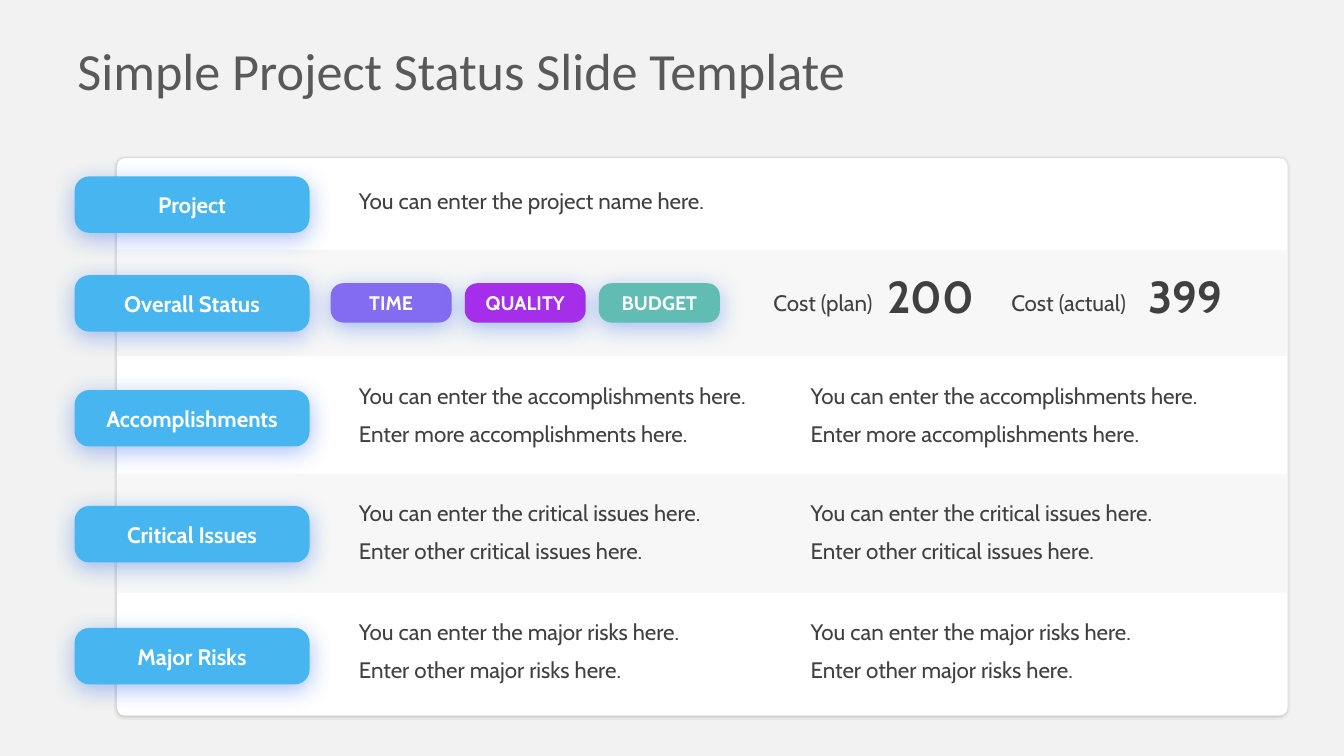
from dataclasses import dataclass

from lxml import etree
from pptx import Presentation
from pptx.dml.color import RGBColor
from pptx.enum.shapes import MSO_SHAPE
from pptx.enum.text import MSO_ANCHOR, PP_ALIGN
from pptx.oxml.ns import qn
from pptx.shapes.autoshape import Shape
from pptx.slide import Slide
from pptx.text.text import TextFrame
from pptx.util import Inches, Pt

RECTANGLE, ROUNDED = MSO_SHAPE.RECTANGLE, MSO_SHAPE.ROUNDED_RECTANGLE
LEFT, CENTER = PP_ALIGN.LEFT, PP_ALIGN.CENTER
TOP, MIDDLE = MSO_ANCHOR.TOP, MSO_ANCHOR.MIDDLE


@dataclass(frozen=True)
class Theme:
    background: str = "F1F2F1"
    card: str = "FFFFFF"
    label: str = "47B5EF"
    time: str = "846CF1"
    quality: str = "A52EEA"
    budget: str = "61BCB3"
    title: str = "595959"
    body: str = "404040"
    on_color: str = "FFFFFF"
    title_font: str = "Calibri"
    body_font: str = "Cabin"
    title_size: float = 37.3
    body_size: float = 16
    badge_size: float = 14
    figure_size: float = 32
    line_gap: float = 8


@dataclass(frozen=True)
class Box:
    left: float
    top: float
    width: float
    height: float


@dataclass(frozen=True)
class TextStyle:
    size: float
    color: str
    font: str
    bold: bool = False
    align: PP_ALIGN = LEFT


@dataclass(frozen=True)
class Shadow:
    color: str
    opacity: int
    blur: float
    distance: float


@dataclass(frozen=True)
class StatusRow:
    label: str
    label_top: float
    text_top: float = 0
    lines: tuple[str, ...] = ()
    columns: tuple[float, ...] = ()


@dataclass(frozen=True)
class Badge:
    label: str
    color: str


@dataclass(frozen=True)
class Cost:
    caption: str
    caption_left: float
    figure: str
    figure_left: float


THEME = Theme()
TITLE = TextStyle(THEME.title_size, THEME.title, THEME.title_font)
BODY = TextStyle(THEME.body_size, THEME.body, THEME.body_font)
FIGURE = TextStyle(THEME.figure_size, THEME.body, THEME.body_font, True)
LABEL = TextStyle(THEME.body_size, THEME.on_color, THEME.body_font, True, CENTER)
BADGE = TextStyle(THEME.badge_size, THEME.on_color, THEME.body_font, True, CENTER)

CARD_SHADOW = Shadow("000000", 23, 2, 1)
GLOW = Shadow("1758E8", 37, 17, 4)

CARD = Box(1.16, 1.57, 11.61, 5.53)
BANDS = (Box(CARD.left, 2.48, CARD.width, 1.05), Box(CARD.left, 4.7, CARD.width, 1.18))
BAND_OPACITY = 60
FIRST_COLUMN, SECOND_COLUMN = 3.56, 8.04
BOTH_COLUMNS = (FIRST_COLUMN, SECOND_COLUMN)
BADGE_LEFT, BADGE_STEP = 3.28, 1.33

ROWS = (
    StatusRow("Project", 1.75, 1.86,
              ("You can enter the project name here.",), (FIRST_COLUMN,)),
    StatusRow("Overall Status", 2.73),
    StatusRow("Accomplishments", 3.87, 3.79,
              ("You can enter the accomplishments here.",
               "Enter more accomplishments here."), BOTH_COLUMNS),
    StatusRow("Critical Issues", 5.02, 4.95,
              ("You can enter the critical issues here.",
               "Enter other critical issues here."), BOTH_COLUMNS),
    StatusRow("Major Risks", 6.23, 6.13,
              ("You can enter the major risks here.",
               "Enter other major risks here."), BOTH_COLUMNS),
)
BADGES = (
    Badge("TIME", THEME.time),
    Badge("QUALITY", THEME.quality),
    Badge("BUDGET", THEME.budget),
)
COSTS = (
    Cost("Cost (plan)", 7.67, "200", 8.8),
    Cost("Cost (actual)", 10.03, "399", 11.39),
)


def add_alpha(color: etree._Element, percent: int) -> None:
    etree.SubElement(color, qn("a:alpha")).set("val", str(percent * 1000))


def add_shadow(shape: Shape, shadow: Shadow) -> None:
    effects = shape._element.spPr.find(qn("a:effectLst"))
    outer = etree.SubElement(effects, qn("a:outerShdw"))
    outer.set("blurRad", str(Pt(shadow.blur)))
    outer.set("dist", str(Pt(shadow.distance)))
    outer.set("dir", "5400000")
    outer.set("algn", "t")
    outer.set("rotWithShape", "0")
    color = etree.SubElement(outer, qn("a:srgbClr"))
    color.set("val", shadow.color)
    add_alpha(color, shadow.opacity)


def add_panel(slide: Slide, box: Box, color: str, radius: float = 0,
              shadow: Shadow | None = None) -> Shape:
    panel = slide.shapes.add_shape(
        ROUNDED if radius else RECTANGLE,
        Inches(box.left), Inches(box.top), Inches(box.width), Inches(box.height))
    if radius:
        panel.adjustments[0] = radius
    panel.shadow.inherit = False
    panel.fill.solid()
    panel.fill.fore_color.rgb = RGBColor.from_string(color)
    panel.line.fill.background()
    if shadow:
        add_shadow(panel, shadow)
    return panel


def write_text(frame: TextFrame, lines: tuple[str, ...], style: TextStyle,
               anchor: MSO_ANCHOR = TOP, inset: float = 0) -> None:
    frame.word_wrap = True
    frame.vertical_anchor = anchor
    frame.margin_left = frame.margin_right = Inches(inset)
    frame.margin_top = frame.margin_bottom = Inches(inset / 2)
    frame.text = "\n".join(lines)
    for index, paragraph in enumerate(frame.paragraphs):
        paragraph.alignment = style.align
        if index:
            paragraph.space_before = Pt(THEME.line_gap)
        for run in paragraph.runs:
            run.font.name = style.font
            run.font.size = Pt(style.size)
            run.font.bold = style.bold
            run.font.color.rgb = RGBColor.from_string(style.color)


def add_text(slide: Slide, box: Box, lines: tuple[str, ...], style: TextStyle,
             anchor: MSO_ANCHOR = TOP, inset: float = 0) -> None:
    holder = slide.shapes.add_textbox(
        Inches(box.left), Inches(box.top), Inches(box.width), Inches(box.height))
    write_text(holder.text_frame, lines, style, anchor, inset)


def add_button(slide: Slide, box: Box, color: str, radius: float,
               label: str, style: TextStyle) -> None:
    button = add_panel(slide, box, color, radius, GLOW)
    write_text(button.text_frame, (label,), style, MIDDLE)


def main() -> None:
    deck = Presentation()
    deck.slide_width, deck.slide_height = Inches(13.33), Inches(7.5)
    slide = deck.slides.add_slide(deck.slide_layouts[6])
    slide.background.fill.solid()
    slide.background.fill.fore_color.rgb = RGBColor.from_string(THEME.background)

    add_text(slide, Box(0.67, 0.3, 12, 0.78),
             ("Simple Project Status Slide Template",), TITLE, MIDDLE, 0.1)
    add_panel(slide, CARD, THEME.card, 0.014, CARD_SHADOW)
    for band_box in BANDS:
        band = add_panel(slide, band_box, THEME.background)
        add_alpha(band._element.spPr.find(qn("a:solidFill"))[0], BAND_OPACITY)

    for row in ROWS:
        add_button(slide, Box(0.74, row.label_top, 2.33, 0.56),
                   THEME.label, 0.26, row.label, LABEL)
        for column in row.columns:
            height = 0.27 + 0.38 * (len(row.lines) - 1)
            add_text(slide, Box(column, row.text_top, 4.11, height), row.lines, BODY)

    for index, badge in enumerate(BADGES):
        add_button(slide, Box(BADGE_LEFT + index * BADGE_STEP, 2.81, 1.2, 0.39),
                   badge.color, 0.32, badge.label, BADGE)
    for cost in COSTS:
        add_text(slide, Box(cost.caption_left, 2.87, 1.31, 0.27), (cost.caption,), BODY)
        add_text(slide, Box(cost.figure_left, 2.67, 1.13, 0.54), (cost.figure,), FIGURE)

    deck.save("out.pptx")


if __name__ == "__main__":
    main()
